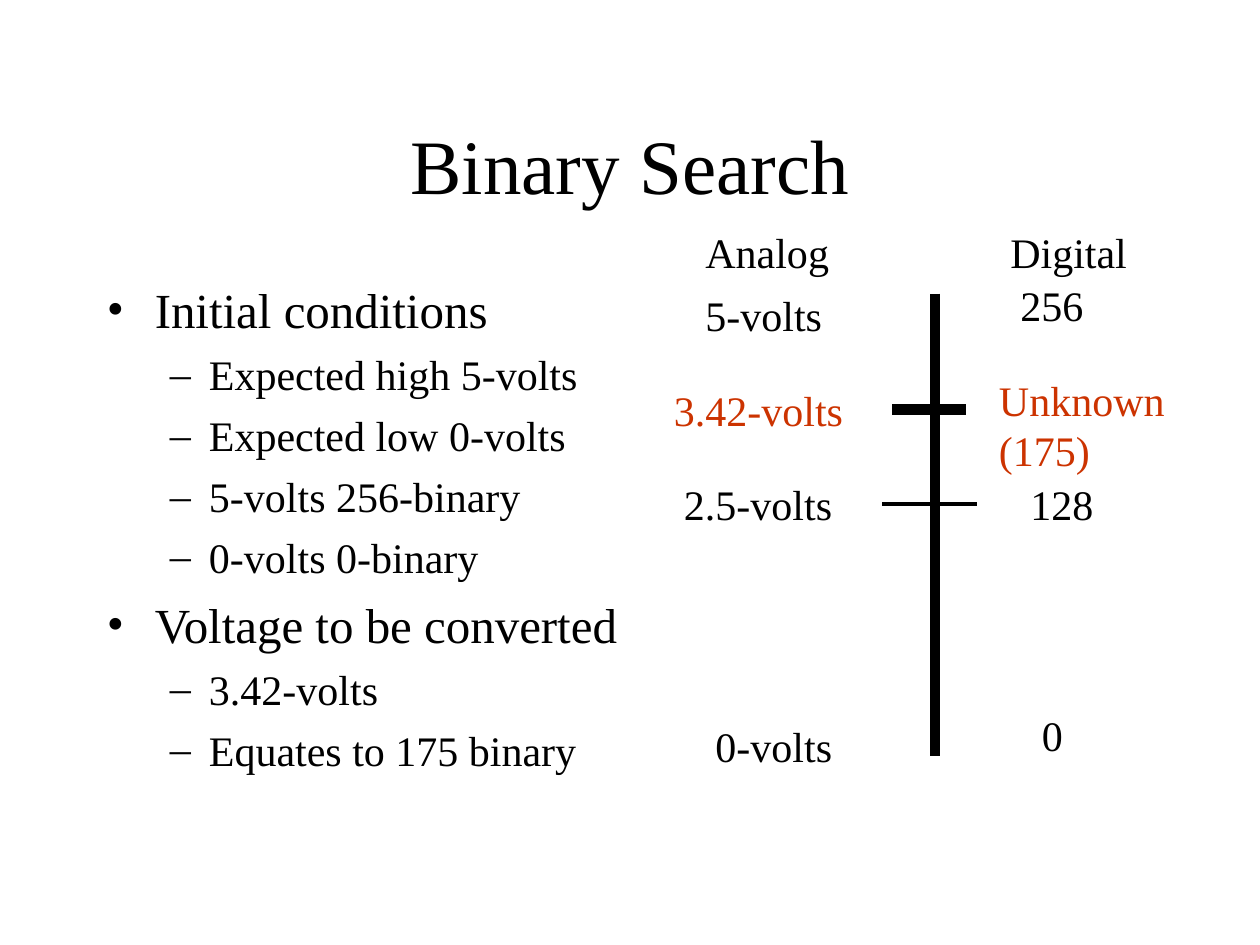
import pptx
import pptx.dml.color
import pptx.enum.shapes
import pptx.enum.text
import pptx.oxml.ns
import pptx.util
from lxml import etree

Inches = pptx.util.Inches
Pt = pptx.util.Pt
Align = pptx.enum.text.PP_ALIGN
Anchor = pptx.enum.text.MSO_ANCHOR
AutoSize = pptx.enum.text.MSO_AUTO_SIZE
qn = pptx.oxml.ns.qn


class Theme:
    font = "Times New Roman"
    ink = pptx.dml.color.RGBColor.from_string("000000")
    accent = pptx.dml.color.RGBColor.from_string("CC3300")
    title, topic, detail = Pt(44), Pt(28), Pt(24)
    thick, thin = Pt(6), Pt(2.25)


# Outline level: bullet, text indent, hanging indent, size, space before
LEVELS = [
    ("•", 0.38, 0.38, Theme.topic, Pt(7)),
    ("–", 0.81, 0.31, Theme.detail, Pt(6)),
]

OUTLINE = [
    (0, "Initial conditions"),
    (1, "Expected high 5-volts"),
    (1, "Expected low 0-volts"),
    (1, "5-volts 256-binary"),
    (1, "0-volts 0-binary"),
    (0, "Voltage to be converted"),
    (1, "3.42-volts"),
    (1, "Equates to 175 binary"),
]

# Scale labels: text, left, top, width, height, colour
SCALE_LABELS = [
    ("Analog", 5.5, 1.75, 1.42, 0.5, Theme.ink),
    ("Digital", 7.92, 1.75, 1.42, 0.5, Theme.ink),
    ("5-volts", 5.5, 2.25, 1.17, 0.5, Theme.ink),
    ("256", 8, 2.17, 0.92, 0.5, Theme.ink),
    ("0-volts", 5.58, 5.67, 1.58, 0.5, Theme.ink),
    ("0", 8.17, 5.58, 0.92, 0.5, Theme.ink),
    ("2.5-volts", 5.33, 3.75, 1.42, 0.5, Theme.ink),
    ("128", 8.08, 3.75, 0.92, 0.5, Theme.ink),
    ("3.42-volts", 5.25, 3, 1.67, 0.5, Theme.accent),
    ("Unknown (175)", 7.83, 2.92, 1.67, 0.9, Theme.accent),
]

# Scale lines: start x, start y, end x, end y, width
SCALE_LINES = [
    (7.42, 2.33, 7.42, 6, Theme.thick),  # voltage axis
    (7, 4, 7.75, 4, Theme.thin),  # midpoint
    (7.08, 3.25, 7.67, 3.25, Theme.thick),  # unknown voltage
]


def apply_format(target, values):
    for name, value in values.items():
        setattr(target, name, value)


def style_font(paragraph, size, colour):
    apply_format(paragraph.font, {"name": Theme.font, "size": size})
    paragraph.font.color.rgb = colour


def add_frame(slide, left, top, width, height, **settings):
    box = slide.shapes.add_textbox(
        Inches(left), Inches(top), Inches(width), Inches(height))
    apply_format(box.text_frame, {"word_wrap": True, **settings})
    return box.text_frame


def add_title(slide, text):
    frame = add_frame(slide, 0.75, 0.67, 8.5, 1.25,
                      vertical_anchor=Anchor.MIDDLE)
    heading = frame.paragraphs[0]
    apply_format(heading, {"text": text, "alignment": Align.CENTER})
    style_font(heading, Theme.title, Theme.ink)


def add_bullet(paragraph, mark, indent, hanging):
    properties = paragraph._p.get_or_add_pPr()
    properties.set("marL", str(Inches(indent)))
    properties.set("indent", str(-Inches(hanging)))
    bullet_colour = etree.SubElement(properties, qn("a:buClr"))
    etree.SubElement(bullet_colour, qn("a:srgbClr"), val=str(Theme.ink))
    etree.SubElement(properties, qn("a:buFont"), typeface=Theme.font)
    etree.SubElement(properties, qn("a:buChar"), char=mark)


def add_outline(slide, items):
    frame = add_frame(slide, 0.75, 2.17, 4.42, 4.5)
    for index, (level, text) in enumerate(items):
        mark, indent, hanging, size, gap = LEVELS[level]
        entry = frame.add_paragraph() if index else frame.paragraphs[0]
        add_bullet(entry, mark, indent, hanging)
        apply_format(entry, {"text": text, "level": level,
                             "space_before": gap if index else Pt(0)})
        style_font(entry, size, Theme.ink)


def add_label(slide, text, left, top, width, height, colour):
    frame = add_frame(slide, left, top, width, height,
                      auto_size=AutoSize.SHAPE_TO_FIT_TEXT)
    label = frame.paragraphs[0]
    label.text = text
    style_font(label, Theme.detail, colour)


def add_line(slide, x1, y1, x2, y2, width):
    line = slide.shapes.add_connector(
        pptx.enum.shapes.MSO_CONNECTOR.STRAIGHT,
        Inches(x1), Inches(y1), Inches(x2), Inches(y2))
    line.line.width = width
    line.line.color.rgb = Theme.ink
    etree.SubElement(line._element.spPr, qn("a:effectLst"))


def main():
    deck = pptx.Presentation()
    apply_format(deck, {"slide_width": Inches(10), "slide_height": Inches(7.5)})
    slide = deck.slides.add_slide(deck.slide_layouts[6])

    # Title and outline
    add_title(slide, "Binary Search")
    add_outline(slide, OUTLINE)

    # Analog to digital scale
    for line in SCALE_LINES:
        add_line(slide, *line)
    for label in SCALE_LABELS:
        add_label(slide, *label)

    deck.save("out.pptx")


if __name__ == "__main__":
    main()
